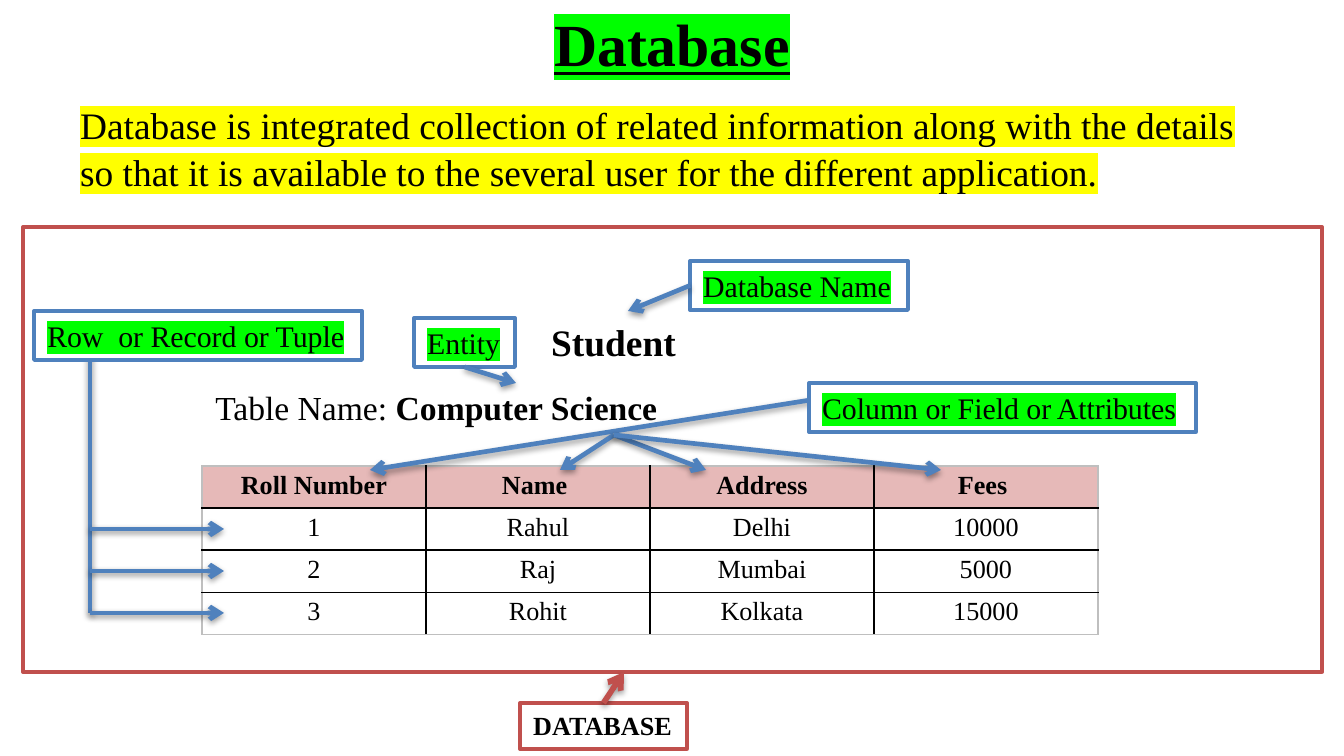
from lxml import etree
from pptx import Presentation, util as u
from pptx.dml.color import RGBColor
from pptx.enum import shapes, text
from pptx.oxml.ns import qn

PX = 914400 / 134.4
FONT = "Times New Roman"
BLACK = RGBColor(0x00, 0x00, 0x00)
WHITE = RGBColor(0xFF, 0xFF, 0xFF)
GREEN = RGBColor(0x00, 0xFF, 0x00)
YELLOW = RGBColor(0xFF, 0xFF, 0x00)
BLUE = RGBColor(0x4F, 0x81, 0xBD)
RED = RGBColor(0xC0, 0x50, 0x4D)
PINK = RGBColor(0xE6, 0xB9, 0xB8)
GREY = RGBColor(0xBF, 0xBF, 0xBF)

# Content
TITLE = "Database"
DEFINITION = ("Database is integrated collection of related information along with the details "
              "so that it is available to the several user for the different application.")
RECORDS = [
    ("Roll Number", "Name ", "Address", "Fees "),
    ("1", "Rahul", "Delhi", "10000"),
    ("2", "Raj", "Mumbai", "5000"),
    ("3", "Rohit", "Kolkata", "15000"),
]
FRAME = (23, 227, 1299, 445)
TABLE_LEFT, TABLE_TOP, COLUMN_WIDTH, ROW_HEIGHT = 202, 466, 224, 41

# Label: (text, box, size, bold, highlight, line colour)
LABELS = {
    "database": ("Database Name", (690, 261, 218, 49), 16, False, GREEN, BLUE),
    "column": ("Column or Field or Attributes", (809, 383, 387, 49), 16, False, GREEN, BLUE),
    "row": ("Row  or Record or Tuple", (34, 311, 328, 49), 16, False, GREEN, BLUE),
    "entity": ("Entity", (414, 318, 101, 49), 16, False, GREEN, BLUE),
    "whole": ("DATABASE", (520, 703, 167, 46), 14, True, None, RED),
}
# Joined arrow: (label, side of the label, tip, colour, width)
LABEL_ARROWS = [
    ("database", 1, (628, 311), BLUE, 2.5),
    ("entity", 2, (516, 383), BLUE, 2.5),
    ("whole", 0, (624, 672), RED, 3),
]
COLUMN_FORK = (614, 435)
COLUMN_TIPS = [(560, 470), (706, 470), (941, 470)]
ROW_STEM_X, ROW_STEM_TOP, ROW_TIP_X = 90, 341, 224
ROW_TIPS_Y = [529, 571, 613]


def px(*lengths):
    return [round(length * PX) for length in lengths]


def style_span(span, size, bold=False, highlight=None, underline=False):
    font = span.font
    font.name, font.size, font.bold = FONT, u.Pt(size), bold
    font.color.rgb = BLACK
    if underline:
        font.underline = True
    if highlight is not None:
        mark = etree.Element(qn("a:highlight"))
        etree.SubElement(mark, qn("a:srgbClr"), val=str(highlight))
        span._r.rPr.find(qn("a:latin")).addprevious(mark)


def write(box, spans, size, align=text.PP_ALIGN.LEFT, wrap=False,
          anchor=text.MSO_ANCHOR.TOP, highlight=None, underline=False):
    frame = box.text_frame
    frame.word_wrap, frame.vertical_anchor = wrap, anchor
    para = frame.paragraphs[0]
    para.alignment = align
    for words, bold in spans:
        span = para.add_run()
        span.text = words
        style_span(span, size, bold, highlight, underline)
    return para


def add_text(page, at, *args, **options):
    return write(page.shapes.add_textbox(*px(*at)), *args, **options)


def add_rect(page, at, color):
    box = page.shapes.add_shape(shapes.MSO_SHAPE.RECTANGLE, *px(*at))
    box.shadow.inherit = False
    box.fill.solid()
    box.fill.fore_color.rgb = WHITE
    box.line.color.rgb = color
    box.line.width = u.Pt(2)
    return box


def add_line(page, start, end, color=BLUE, width=2.5, arrow=True):
    line = page.shapes.add_connector(shapes.MSO_CONNECTOR.STRAIGHT, *px(*start, *end))
    line.line.color.rgb = color
    line.line.width = u.Pt(width)
    if arrow:
        etree.SubElement(line.line._get_or_add_ln(), qn("a:tailEnd"), type="arrow")
    effects = etree.SubElement(line._element.spPr, qn("a:effectLst"))
    shadow = etree.SubElement(effects, qn("a:outerShdw"), blurRad="40000", dist="20000",
                              dir="5400000", rotWithShape="0")
    shade = etree.SubElement(shadow, qn("a:srgbClr"), val=str(BLACK))
    etree.SubElement(shade, qn("a:alpha"), val="38000")
    return line


def set_borders(cell, colors):
    props = cell._tc.get_or_add_tcPr()
    for position, (side, color) in enumerate(zip("LRTB", colors)):
        border = etree.Element(qn(f"a:ln{side}"), w=str(u.Pt(1)))
        fill = etree.SubElement(border, qn("a:solidFill"))
        etree.SubElement(fill, qn("a:srgbClr"), val=str(color))
        props.insert(position, border)


def add_records(page):
    rows, columns = len(RECORDS), len(RECORDS[0])
    table = page.shapes.add_table(rows, columns, *px(
        TABLE_LEFT, TABLE_TOP, COLUMN_WIDTH * columns, ROW_HEIGHT * rows)).table
    for r, record in enumerate(RECORDS):
        for c, value in enumerate(record):
            cell = table.cell(r, c)
            cell.margin_top = cell.margin_bottom = u.Inches(0.04)
            cell.text = value
            para = cell.text_frame.paragraphs[0]
            para.alignment = text.PP_ALIGN.CENTER
            style_span(para.runs[0], 14, bold=r == 0)
            cell.fill.solid()
            cell.fill.fore_color.rgb = PINK if r == 0 else WHITE
            outer = (c == 0, c == columns - 1, r == 0, r == rows - 1)
            set_borders(cell, [GREY if edge else BLACK for edge in outer])


def main():
    deck = Presentation()
    deck.slide_width, deck.slide_height = px(1344, 756)
    page = deck.slides.add_slide(deck.slide_layouts[6])

    # Frame, title and definition
    add_rect(page, FRAME, RED)
    add_text(page, (67, -6, 1210, 98), [(TITLE, True)], 32, align=text.PP_ALIGN.CENTER,
             wrap=True, anchor=text.MSO_ANCHOR.MIDDLE, highlight=GREEN, underline=True)
    para = add_text(page, (67, 93, 1210, 134), [(DEFINITION, False)], 20,
                    wrap=True, highlight=YELLOW)
    para.line_spacing = 1.05

    # Table and its headings
    add_records(page)
    add_text(page, (538, 313, 153, 59), [("Student", True)], 20)
    add_text(page, (202, 380, 482, 54),
             [("Table Name: ", False), ("Computer Science", True)], 18)

    # Arrows to the columns and the rows
    add_line(page, (817, 399), (370, 470))
    for tip in COLUMN_TIPS:
        add_line(page, COLUMN_FORK, tip)
    add_line(page, (ROW_STEM_X, ROW_STEM_TOP), (ROW_STEM_X, ROW_TIPS_Y[-1]), arrow=False)
    for y in ROW_TIPS_Y:
        add_line(page, (ROW_STEM_X, y), (ROW_TIP_X, y))

    # Labels and the arrows joined to them
    boxes = {}
    for name, (words, at, size, bold, highlight, color) in LABELS.items():
        boxes[name] = add_rect(page, at, color)
        write(boxes[name], [(words, bold)], size, highlight=highlight)
    for name, side, tip, color, width in LABEL_ARROWS:
        add_line(page, tip, tip, color, width).begin_connect(boxes[name], side)

    deck.save("out.pptx")


if __name__ == "__main__":
    main()
